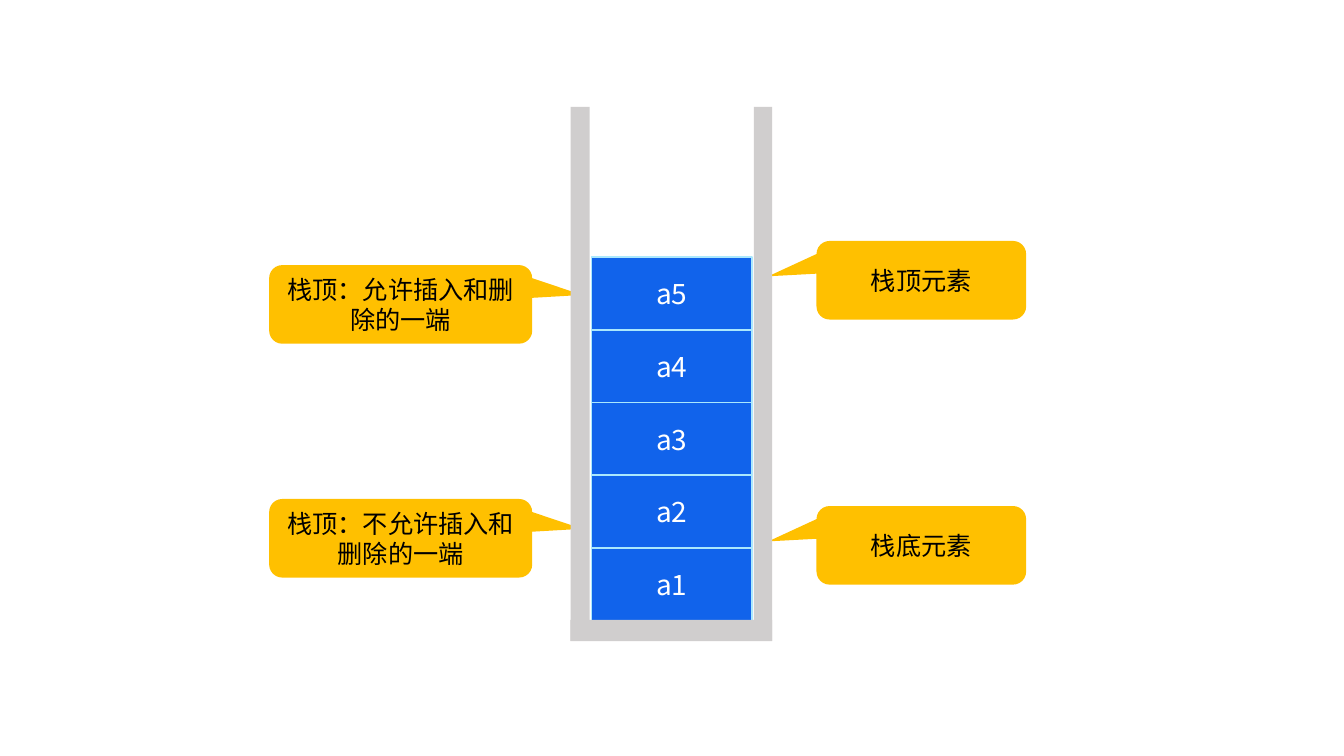
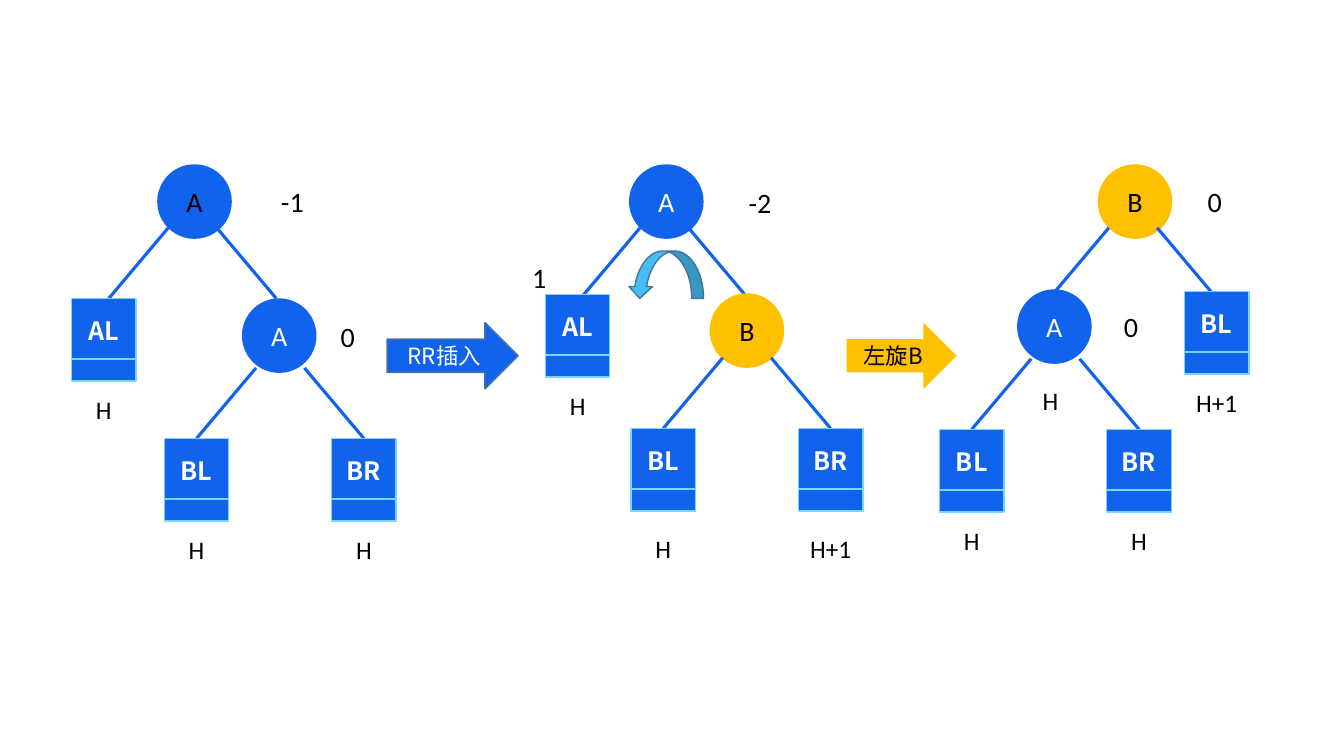
from lxml import etree
from pptx import Presentation
from pptx.dml.color import RGBColor
from pptx.enum.shapes import MSO_CONNECTOR, MSO_SHAPE
from pptx.enum.text import MSO_ANCHOR, PP_ALIGN
from pptx.oxml.ns import qn
from pptx.util import Inches, Pt

STRAIGHT = MSO_CONNECTOR.STRAIGHT
RECTANGLE = MSO_SHAPE.RECTANGLE
OVAL = MSO_SHAPE.OVAL
RIGHT_ARROW = MSO_SHAPE.RIGHT_ARROW
CURVED_ARROW = MSO_SHAPE.CURVED_DOWN_ARROW
CALLOUT = MSO_SHAPE.ROUNDED_RECTANGULAR_CALLOUT
MIDDLE = MSO_ANCHOR.MIDDLE
CENTER = PP_ALIGN.CENTER

COLUMNS, ROWS = 133.33, 75
BLUE, YELLOW, GRAY, SKY = "1163EB", "FFC000", "D0CECE", "45BEF5"
WHITE, BLACK = "FFFFFF", "000000"
STACK_EDGE, LEAF_EDGE, ARROW_EDGE = "ABE8FD", "79D7F9", "43739E"
CHINESE, LATIN = "Noto Sans CJK SC", "Calibri"

NODE_SIZE = 7.4
LEAF_WIDTH = 6.4
BRANCH_GAP, BRANCH_REACH, BRANCH_DROP = 4.8, 5.9, 7


def grid(cells):
    return Inches(cells / 10)


def color(value):
    return RGBColor.from_string(value)


def write(shape, text, font, size, ink, bold=False):
    frame = shape.text_frame
    frame.word_wrap = True
    frame.vertical_anchor = MIDDLE
    para = frame.paragraphs[0]
    para.text = text
    para.alignment = CENTER
    para.font.size = Pt(size)
    para.font.bold = bold
    para.font.color.rgb = color(ink)
    para.font.name = font
    defaults = para._p.pPr.find(qn("a:defRPr"))
    etree.SubElement(defaults, qn("a:ea"), typeface=font)


def add_box(page, kind, area, fill, edge=None):
    shape = page.shapes.add_shape(kind, *map(grid, area))
    shape.shadow.inherit = False
    shape.fill.solid()
    shape.fill.fore_color.rgb = color(fill)
    if edge:
        shape.line.color.rgb = color(edge)
        shape.line.width = Pt(1)
    else:
        shape.line.fill.background()
    return shape


def add_callout(page, text, area, tip):
    callout = add_box(page, CALLOUT, area, YELLOW)
    callout.adjustments[0], callout.adjustments[1] = tip
    write(callout, text, CHINESE, 18, BLACK)


def add_label(page, text, center, top, size=20):
    width, height = 7.5, size / 5 + 0.4
    area = (center - width / 2, top, width, height)
    label = page.shapes.add_textbox(*map(grid, area))
    write(label, text, LATIN, size, BLACK)


def add_node(page, letter, left, top, fill=BLUE, ink=WHITE):
    node = add_box(page, OVAL, (left, top, NODE_SIZE, NODE_SIZE), fill)
    write(node, letter, LATIN, 20, ink)


def add_branches(page, left, top):
    branches = []
    for start, step in ((left, -BRANCH_REACH), (left + BRANCH_GAP, BRANCH_REACH)):
        ends = (start, top, start + step, top + BRANCH_DROP)
        branch = page.shapes.add_connector(STRAIGHT, *map(grid, ends))
        branch.line.color.rgb = color(BLUE)
        branch.line.width = Pt(2.25)
        etree.SubElement(branch._element.spPr, qn("a:effectLst"))
        branches.append(branch)
    return branches


def add_leaf(page, text, left, top, height_text, gap=9):
    leaf = add_box(page, RECTANGLE, (left, top, LEAF_WIDTH, 6.4), BLUE, LEAF_EDGE)
    write(leaf, text, CHINESE, 18, WHITE, True)
    add_box(page, RECTANGLE, (left, top + 6, LEAF_WIDTH, 2.2), BLUE, LEAF_EDGE)
    add_label(page, height_text, left + LEAF_WIDTH / 2, top + gap, 18)
    return leaf


def add_leaf_pair(page, left, top, right_height="H", gap=9):
    branches = add_branches(page, left, top)
    centers = (left - BRANCH_REACH, left + BRANCH_GAP + BRANCH_REACH)
    texts = (("BL", "H"), ("BR", right_height))
    for branch, center, (text, height_text) in zip(branches, centers, texts):
        leaf = add_leaf(page, text, center - LEAF_WIDTH / 2, top + BRANCH_DROP,
                        height_text, gap)
        branch.end_connect(leaf, 0)


def add_arrow(page, text, left, width, fill, ink, edge=None):
    arrow = add_box(page, RIGHT_ARROW, (left, 32, width, 6.6), fill, edge)
    write(arrow, text, CHINESE, 16, ink)


def build_stack(page):
    for row, text in enumerate(("a5", "a4", "a3", "a2", "a1")):
        cell = add_box(page, RECTANGLE, (58.7, 25.5 + 7.22 * row, 15.9, 7.2),
                       BLUE, STACK_EDGE)
        write(cell, text, CHINESE, 20, WHITE)
    for text, top in (("栈顶元素", 23.9), ("栈底元素", 50.2)):
        add_callout(page, text, (81, top, 20.8, 7.8), (-0.73, -0.05))
    for text, top in (("栈顶：允许插入和删除的一端", 26.3),
                      ("栈顶：不允许插入和删除的一端", 49.5)):
        add_callout(page, text, (26.7, top, 26.1, 7.8), (0.69, -0.12))
    for wall in ((56.6, 10.6, 1.9, 53), (74.8, 10.6, 1.8, 53),
                 (56.6, 61.5, 20, 2.1)):
        add_box(page, RECTANGLE, wall, GRAY)


def build_rotation(page):
    for left, letter, fill, ink in ((15.6, "A", BLUE, BLACK),
                                    (62.4, "A", BLUE, WHITE),
                                    (108.9, "B", YELLOW, BLACK)):
        add_node(page, letter, left, 16.3, fill, ink)
        add_branches(page, left + 1.1, 22.6)

    add_leaf(page, "AL", 7.1, 29.6, "H")
    add_node(page, "A", 24, 29.6)
    add_leaf_pair(page, 25.4, 36.5)

    add_leaf(page, "AL", 54.1, 29.2, "H")
    add_node(page, "B", 70.4, 29.1, YELLOW, BLACK)
    add_leaf_pair(page, 71.7, 35.5, "H+1", 9.9)

    add_leaf(page, "BL", 117.5, 28.9, "H+1")
    add_node(page, "A", 100.9, 28.7)
    add_leaf_pair(page, 102.3, 35.6)
    add_label(page, "H", 104.2, 37.7, 18)

    for text, center, top in (("-1", 29, 17.8), ("0", 34.5, 31.2),
                              ("-2", 75.4, 17.9), ("1", 53.5, 25.3),
                              ("0", 120.5, 17.8), ("0", 112.2, 30.2)):
        add_label(page, text, center, top)

    turn = add_box(page, CURVED_ARROW, (62.3, 24.9, 7.5, 4.7), SKY, ARROW_EDGE)
    turn._element.spPr.xfrm.set("flipH", "1")
    add_arrow(page, "RR插入", 38.4, 13, BLUE, WHITE, ARROW_EDGE)
    add_arrow(page, "左旋B", 84, 10.9, YELLOW, BLACK)


def main():
    deck = Presentation()
    deck.slide_width, deck.slide_height = grid(COLUMNS), grid(ROWS)
    blank = deck.slide_layouts[6]
    for build in (build_stack, build_rotation):
        build(deck.slides.add_slide(blank))
    deck.save("out.pptx")


if __name__ == "__main__":
    main()
